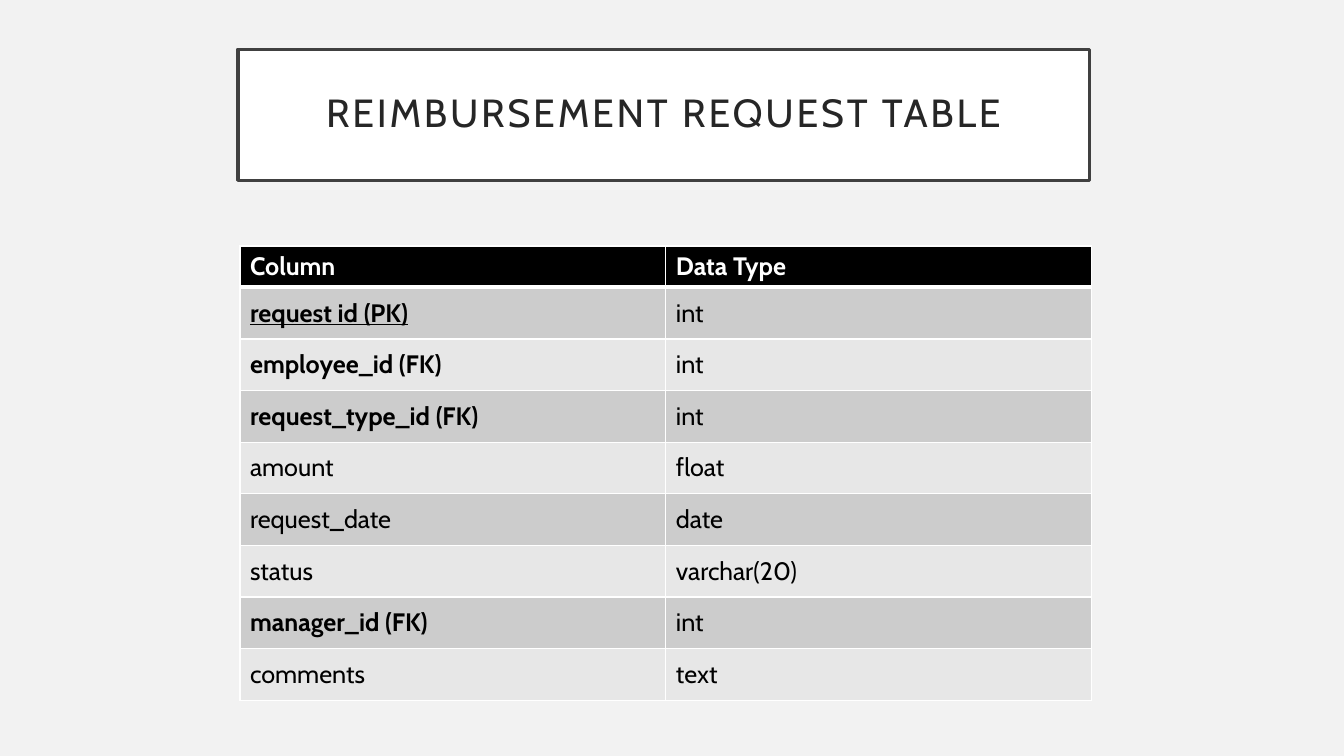
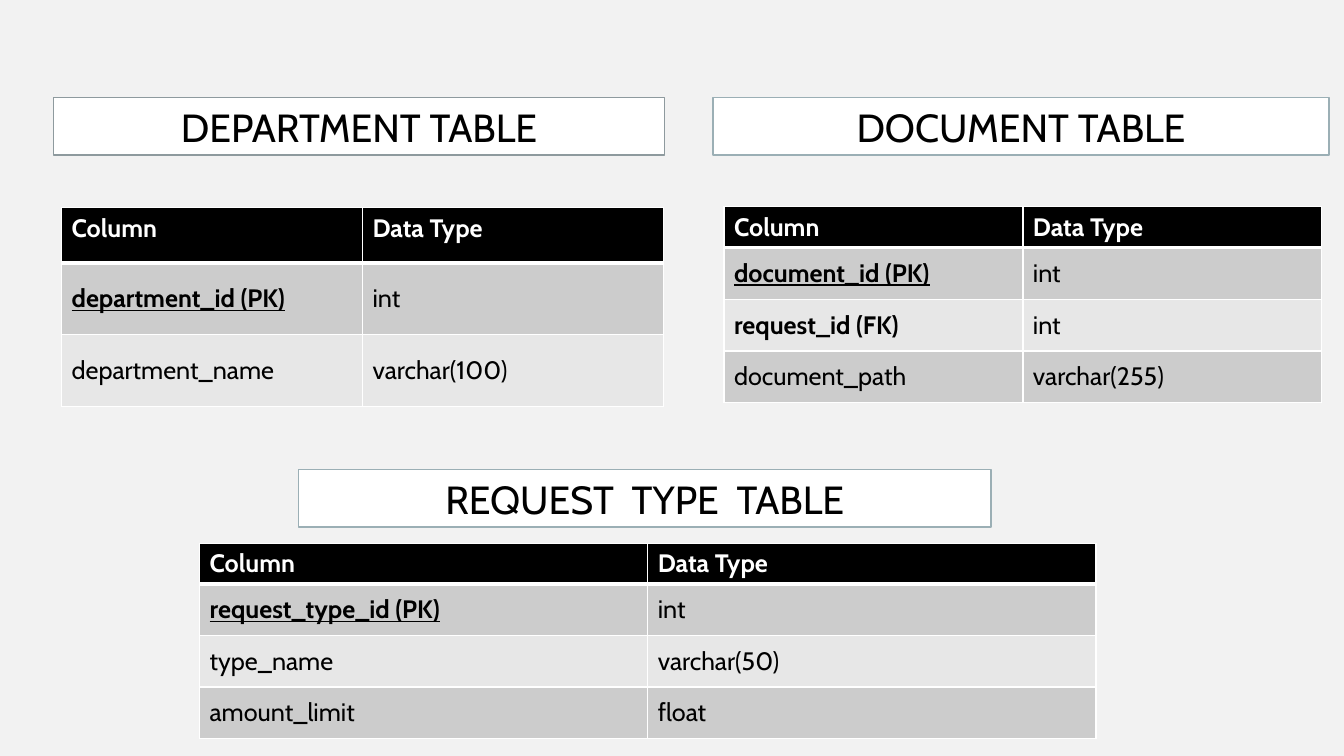
from dataclasses import dataclass

from lxml.etree import SubElement
from pptx import Presentation
from pptx.dml.color import RGBColor
from pptx.enum.shapes import MSO_SHAPE
from pptx.enum.text import MSO_ANCHOR, PP_ALIGN
from pptx.oxml.ns import qn
from pptx.util import Inches, Pt

SLIDE_WIDTH, SLIDE_HEIGHT = Inches(13.33), Inches(7.5)
FONT = "Cabin"
BACKGROUND, WHITE, BLACK = "F2F2F2", "FFFFFF", "000000"
TITLE_TEXT, TITLE_LINE = "262626", "404040"
CAPTION_LINE, DEPARTMENT_LINE = "9BAFB5", "8E9A9E"
BANDS = ("CCCCCC", "E7E7E7")
HEADER = ("Column", "Data Type")

REIMBURSEMENT_ROWS = [
    ("request id (PK)", "int"),
    ("employee_id (FK)", "int"),
    ("request_type_id (FK)", "int"),
    ("amount", "float"),
    ("request_date", "date"),
    ("status", "varchar(20)"),
    ("manager_id (FK)", "int"),
    ("comments", "text"),
]
DEPARTMENT_ROWS = [
    ("department_id (PK)", "int"),
    ("department_name", "varchar(100)"),
]
DOCUMENT_ROWS = [
    ("document_id (PK)", "int"),
    ("request_id (FK)", "int"),
    ("document_path", "varchar(255)"),
]
REQUEST_TYPE_ROWS = [
    ("request_type_id (PK)", "int"),
    ("type_name", "varchar(50)"),
    ("amount_limit", "float"),
]


@dataclass
class Box:
    left: int
    top: int
    width: int
    height: int

    def inner(self, left, top, width, height):
        """Return the inner box given in percent of this one."""
        return Box(
            int(self.left + self.width * left / 100),
            int(self.top + self.height * top / 100),
            int(self.width * width / 100),
            int(self.height * height / 100),
        )

    def edges(self):
        return self.left, self.top, self.width, self.height


PAGE = Box(0, 0, SLIDE_WIDTH, SLIDE_HEIGHT)


def color(value):
    return RGBColor.from_string(value)


def fill(target, value):
    target.fill.solid()
    target.fill.fore_color.rgb = color(value)


def write(frame, text, size=18, text_color=BLACK, bold=False, underline=False,
          align=PP_ALIGN.LEFT, line_spacing=None, tracking=None):
    paragraph = frame.paragraphs[0]
    paragraph.alignment = align
    paragraph.line_spacing = line_spacing
    run = paragraph.add_run()
    run.text = text
    font = run.font
    font.name, font.size = FONT, Pt(size)
    font.bold, font.underline = bold, underline
    font.color.rgb = color(text_color)
    if tracking:
        run._r.get_or_add_rPr().set("spc", str(tracking * 100))


def set_borders(cell, bottom=1):
    properties = cell._tc.get_or_add_tcPr()
    for side, width in (("L", 1), ("R", 1), ("T", 1), ("B", bottom)):
        line = SubElement(properties, qn(f"a:ln{side}"), w=str(int(Pt(width))))
        solid = SubElement(line, qn("a:solidFill"))
        SubElement(solid, qn("a:srgbClr"), val=WHITE)


def add_caption(slide, box, text, line_color, line_width=1, inset=None,
                **text_format):
    shape = slide.shapes.add_shape(MSO_SHAPE.RECTANGLE, *box.edges())
    shape.shadow.inherit = False
    fill(shape, WHITE)
    shape.line.color.rgb = color(line_color)
    shape.line.width = Pt(line_width)
    frame = shape.text_frame
    frame.word_wrap = True
    frame.vertical_anchor = MSO_ANCHOR.MIDDLE
    if inset:
        frame.margin_left = frame.margin_right = Inches(inset)
        frame.margin_top = frame.margin_bottom = Inches(inset)
    write(frame, text, size=28, align=PP_ALIGN.CENTER, **text_format)


def add_header_cell(cell, text):
    set_borders(cell, bottom=3)
    fill(cell, BLACK)
    write(cell.text_frame, text, text_color=WHITE, bold=True)


def add_body_cell(cell, text, band):
    set_borders(cell)
    fill(cell, band)
    cell.vertical_anchor = MSO_ANCHOR.MIDDLE
    cell.margin_left = cell.margin_right = Inches(0.1)
    cell.margin_top = cell.margin_bottom = Inches(0.1)
    primary = text.endswith("(PK)")
    write(cell.text_frame, text, bold=primary or text.endswith("(FK)"),
          underline=primary)


def add_schema_table(slide, box, rows, header_share):
    table = slide.shapes.add_table(
        len(rows) + 1, len(HEADER), *box.edges()).table
    table.first_row = table.horz_banding = False
    header_height = int(box.height * header_share / 100)
    for index, row in enumerate(table.rows):
        row.height = (header_height if index == 0
                      else (box.height - header_height) // len(rows))
    for column, text in enumerate(HEADER):
        add_header_cell(table.cell(0, column), text)
    for index, texts in enumerate(rows):
        for column, text in enumerate(texts):
            add_body_cell(table.cell(index + 1, column), text,
                          BANDS[index % len(BANDS)])


def add_panel(slide, box, caption, rows, caption_area, table_area,
              header_share, line_color=CAPTION_LINE, **caption_format):
    add_schema_table(slide, box.inner(*table_area), rows, header_share)
    add_caption(slide, box.inner(*caption_area), caption, line_color,
                **caption_format)


def add_slide(presentation):
    slide = presentation.slides.add_slide(presentation.slide_layouts[6])
    fill(slide.background, BACKGROUND)
    return slide


def build_reimbursement_slide(presentation):
    slide = add_slide(presentation)
    add_panel(slide, PAGE.inner(17.7, 6.53, 63.54, 86.13),
              "REIMBURSEMENT REQUEST TABLE", REIMBURSEMENT_ROWS,
              caption_area=(0, 0, 99.76, 20.12),
              table_area=(0.24, 30.19, 99.76, 69.81), header_share=9.1,
              line_color=TITLE_LINE, line_width=2.5, inset=0.2,
              text_color=TITLE_TEXT, line_spacing=0.9, tracking=2)


def build_lookup_slide(presentation):
    slide = add_slide(presentation)
    add_panel(slide, PAGE.inner(3.98, 12.93, 45.46, 40.8),
              "DEPARTMENT TABLE", DEPARTMENT_ROWS,
              caption_area=(0, 0, 100, 18.63),
              table_area=(1.32, 35.62, 98.51, 64.38), header_share=27.9,
              line_color=DEPARTMENT_LINE)
    add_panel(slide, PAGE.inner(53.04, 12.93, 45.84, 40.8),
              "DOCUMENT TABLE", DOCUMENT_ROWS,
              caption_area=(0, 0, 100, 18.63),
              table_area=(1.8, 35.3, 97.05, 63.4), header_share=20.6)
    add_panel(slide, PAGE.inner(14.85, 62.13, 66.69, 35.47),
              "REQUEST  TYPE  TABLE", REQUEST_TYPE_ROWS,
              caption_area=(11.02, 0, 77.28, 21.43),
              table_area=(0, 27.44, 100, 72.56), header_share=20.7)


def main():
    presentation = Presentation()
    presentation.slide_width = SLIDE_WIDTH
    presentation.slide_height = SLIDE_HEIGHT
    build_reimbursement_slide(presentation)
    build_lookup_slide(presentation)
    presentation.save("out.pptx")


if __name__ == "__main__":
    main()
